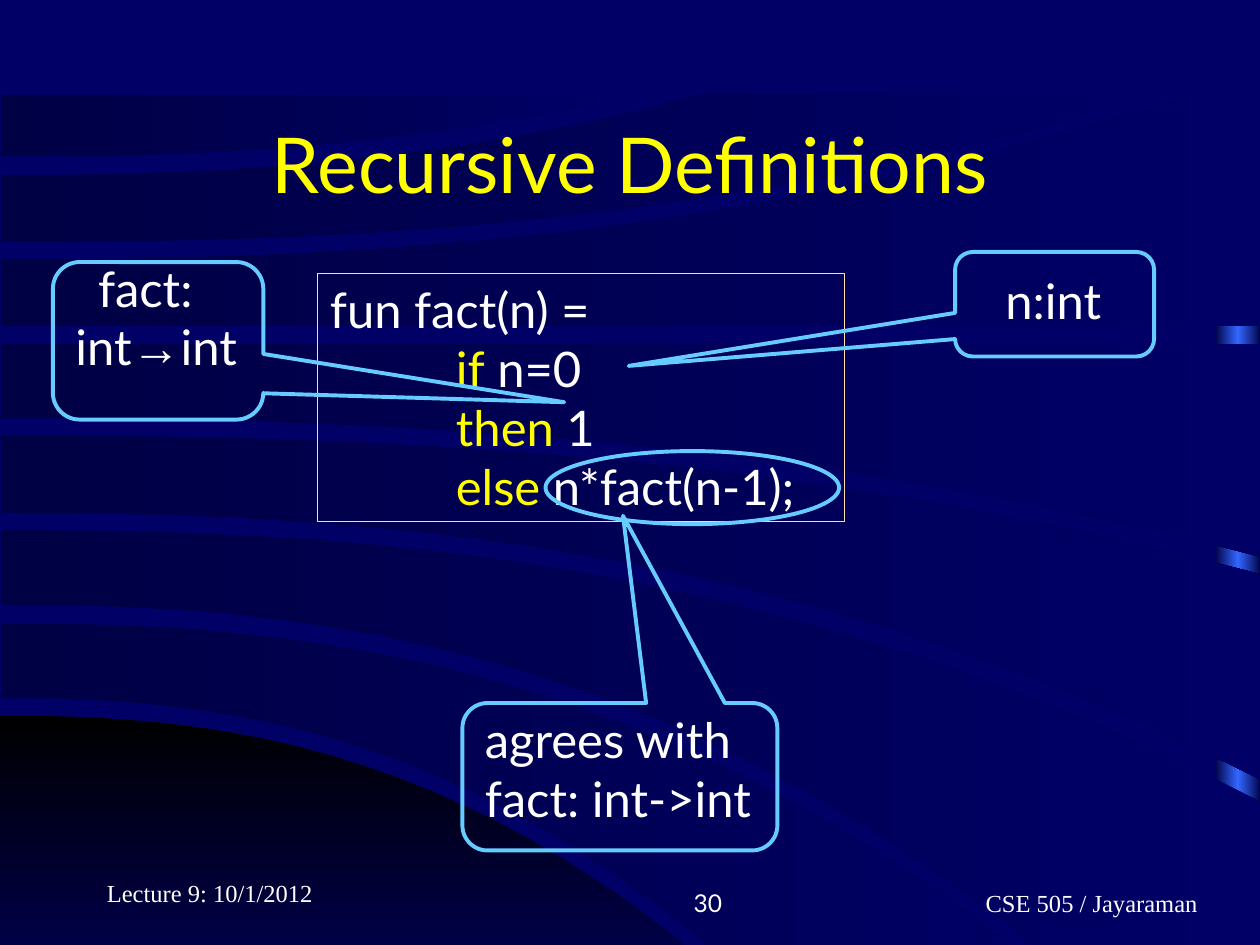
from copy import deepcopy

from lxml.etree import SubElement
from pptx import Presentation
from pptx.dml.color import RGBColor
from pptx.enum.shapes import MSO_SHAPE as Shape
from pptx.enum.text import MSO_ANCHOR as Anchor, MSO_AUTO_SIZE as AutoSize, PP_ALIGN as Align
from pptx.oxml.ns import qn
from pptx.util import Inches, Pt

NAVY, DARK, BLACK, STREAK = "000066", "000044", "000000", "3366FF"
WHITE, YELLOW, SKY, CREAM = "FFFFFF", "FFFF00", "66CCFF", "FFE0A3"
SANS, SERIF = "Lato", "Times New Roman"

# Upper and lower edge of each band: height at the left, then the right end (x, y).
HORIZON = ((5.68, 6.29, 8.27), (8.27, 6.29, 8.27))
BANDS = [
    ((4.95, 8.94, 8.25), (5.54, 6.43, 8.25)),
    ((4.21, 10.01, 6.37), (4.8, 9.1, 8.25)),
    ((3.46, 10.01, 4.56), (4.07, 10.01, 6.19)),
    ((2.73, 10.01, 2.73), (3.32, 10.01, 4.42)),
    ((2.06, 9.44, 0.75), (2.59, 10.01, 2.59)),
    ((1.39, 5.57, 0.75), (1.92, 9.18, 0.75)),
    ((0.75, 5.02, 0.75), (1.24, 5.02, 0.75)),
]
CURVE_POWER, CURVE_STEPS = 2.4, 24


def rgb(color):
    return RGBColor.from_string(color)


def inches(lengths):
    return [Inches(length) for length in lengths]


def fill_gradient(shape, colors, angle=0):
    """Spread the colours evenly; the angle runs counter-clockwise."""
    shape.fill.gradient()
    shape.fill.gradient_angle = angle
    stops = shape._element.spPr.find(qn("a:gradFill")).find(qn("a:gsLst"))
    for _ in colors[2:]:
        stops.append(deepcopy(stops[-1]))
    for i, (stop, color) in enumerate(zip(shape.fill.gradient_stops, colors)):
        stop.position = i / (len(colors) - 1)
        stop.color.rgb = rgb(color)
    shape.line.fill.background()
    shape.shadow.inherit = False


def curve(left, start_y, end_x, end_y):
    """Points that leave the left side level and bend towards the end."""
    steps = [i / CURVE_STEPS for i in range(CURVE_STEPS + 1)]
    return [(left + (end_x - left) * t, start_y + (end_y - start_y) * t ** CURVE_POWER)
            for t in steps]


def add_band(shapes, edges, colors, left=0.01, angle=0):
    upper, lower = (curve(left, *edge) for edge in edges)
    shorter, longer = sorted((upper[-1], lower[-1]))
    corner = (longer[0], shorter[1])
    start, *rest = [inches(point) for point in upper + [corner] + lower[::-1]]
    builder = shapes.build_freeform(*start)
    builder.add_line_segments(rest, close=True)
    fill_gradient(builder.convert_to_shape(), colors, angle)


def add_backdrop(slide):
    slide.background.fill.solid()
    slide.background.fill.fore_color.rgb = rgb(NAVY)
    shapes = slide.shapes.add_group_shape().shapes
    streak = shapes.add_shape(Shape.RECTANGLE, *inches((9.64, 0.77, 0.37, 7.5)))
    fill_gradient(streak, (DARK, STREAK, DARK))
    add_band(shapes, HORIZON, (BLACK, NAVY), left=0, angle=270)
    for edges in BANDS:
        add_band(shapes, edges, (DARK, NAVY))


def outline(shape, color, width):
    shape.fill.background()
    shape.line.color.rgb = rgb(color)
    shape.line.width = Pt(width)


def add_outlined(shapes, kind, place, adjustments=()):
    shape = shapes.add_shape(kind, *inches(place))
    outline(shape, SKY, 2.25)
    shape.shadow.inherit = False
    for i, value in enumerate(adjustments):
        shape.adjustments[i] = value


def write_line(paragraph, runs, size, align=Align.LEFT):
    """Each run is (text, font, colour); a tab stop sits at one inch."""
    tabs = SubElement(paragraph._p.get_or_add_pPr(), qn("a:tabLst"))
    SubElement(tabs, qn("a:tab"), pos=str(Inches(1)), algn="l")
    paragraph.alignment = align
    for text, font, color in runs:
        run = paragraph.add_run()
        run.text = text
        for name, value in {"size": Pt(size), "name": font}.items():
            setattr(run.font, name, value)
        run.font.color.rgb = rgb(color)


def add_text(shapes, place, lines, size=28, align=Align.LEFT, anchor=Anchor.TOP):
    box = shapes.add_textbox(*inches(place))
    frame = box.text_frame
    for name, value in {"word_wrap": True, "vertical_anchor": anchor}.items():
        setattr(frame, name, value)
    for i, runs in enumerate(lines):
        paragraph = frame.add_paragraph() if i else frame.paragraphs[0]
        write_line(paragraph, runs, size, align)
    return box


def add_title(slide, text):
    title = slide.shapes.title
    slide.shapes._spTree.append(title._element)  # in front of the backdrop
    title.left, title.top, title.width, title.height = inches((0.75, 0.67, 8.5, 1.25))
    title.text_frame.auto_size = AutoSize.NONE
    title.text_frame.vertical_anchor = Anchor.MIDDLE
    write_line(title.text_frame.paragraphs[0], [(text, SANS, YELLOW)], 44, Align.CENTER)


def add_code(slide):
    lines = [[("fun fact(n) =", SANS, WHITE)]]
    for keyword, rest in (("if", " n=0"), ("then", " 1"), ("else", " n*fact(n-1);")):
        lines.append([("\t", SANS, WHITE), (keyword, SANS, YELLOW), (rest, SANS, WHITE)])
    outline(add_text(slide.shapes, (2.52, 2.17, 4.18, 1.97), lines), CREAM, 0.25)


def add_callout(slide, place, pointer, text_place, lines, ring=None):
    shapes = slide.shapes.add_group_shape().shapes
    add_outlined(shapes, Shape.ROUNDED_RECTANGULAR_CALLOUT, place, (*pointer, 0.17))
    if ring:
        add_outlined(shapes, Shape.OVAL, ring)
    return add_text(shapes, text_place, lines)


def main():
    deck = Presentation()
    deck.slide_width, deck.slide_height = inches((10, 7.5))
    slide = deck.slides.add_slide(deck.slide_layouts[5])
    add_backdrop(slide)
    for text, place, font, align in (
        ("\tCSE 505 / Jayaraman", (6.58, 6.83, 3.17, 0.5), SERIF, Align.CENTER),
        ("30", (3.75, 6.83, 2.08, 0.5), SANS, Align.RIGHT),
        ("Lecture 9: 10/1/2012", (0.75, 6.75, 2.08, 0.5), SERIF, Align.LEFT),
    ):
        add_text(slide.shapes, place, [[(text, font, WHITE)]], 14, align, Anchor.BOTTOM)
    add_title(slide, "Recursive Definitions")
    add_code(slide)
    add_callout(slide, (7.58, 2, 1.58, 0.83), (-2.14, 0.59), (7.88, 2.1, 1.12, 0.57),
                [[("n:int", SANS, WHITE)]])
    fact_type = add_callout(
        slide, (0.42, 2.08, 1.67, 1.25), (1.93, 0.39), (0.5, 2, 1.75, 1.04),
        [[("fact:", SANS, WHITE)],
         [("int", SANS, WHITE), ("→", "Arial", WHITE), ("int", SANS, WHITE)]])
    fact_type.text_frame.paragraphs[0]._p.pPr.set("marL", str(Inches(0.18)))
    add_callout(slide, (3.67, 5.58, 2.5, 1.17), (0.01, -1.77), (3.75, 5.58, 2.39, 1.04),
                [[("agrees with", SANS, WHITE)], [("fact: int->int", SANS, WHITE)]],
                ring=(4.33, 3.58, 2.33, 0.58))
    deck.save("out.pptx")


if __name__ == "__main__":
    main()
